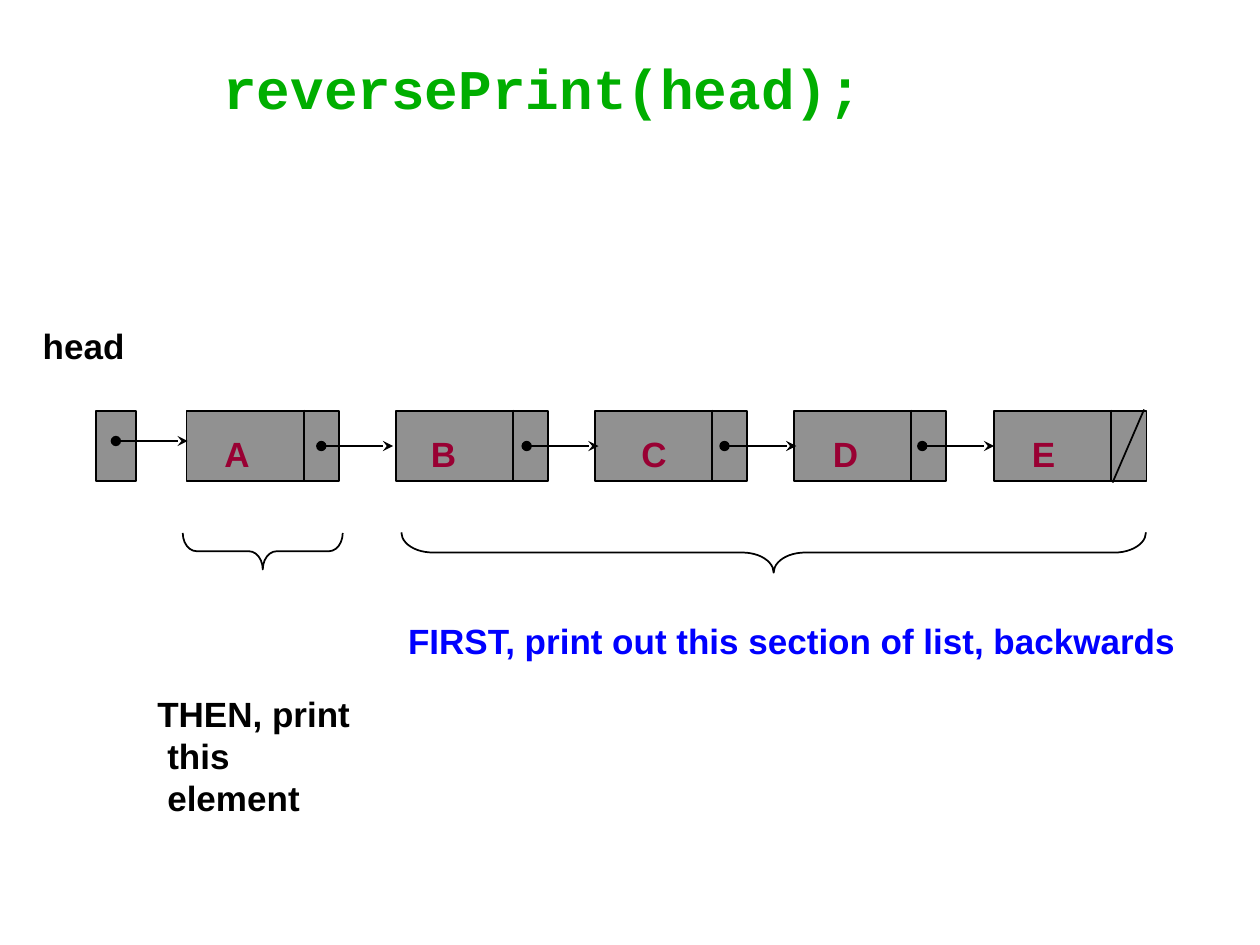
import pptx
import pptx.util
import pptx.dml.color
import pptx.enum.shapes
import pptx.enum.text
import pptx.oxml
import pptx.oxml.ns

Inches, Pt = pptx.util.Inches, pptx.util.Pt
Color = pptx.dml.color.RGBColor.from_string
Shape = pptx.enum.shapes.MSO_SHAPE
Anchor = pptx.enum.text.MSO_ANCHOR
Align = pptx.enum.text.PP_ALIGN

theme = {
    "line": Color("000000"),
    "node": Color("919191"),
    "width": Pt(1),
    "title": {"name": "Courier New", "size": Pt(32), "bold": True, "color": Color("00AE00")},
    "letter": {"name": "Arial", "size": Pt(20), "bold": True, "color": Color("990033")},
    "first": {"name": "Arial", "size": Pt(20), "bold": True, "color": Color("0000FF")},
    "plain": {"name": "Arial", "size": Pt(20), "bold": True, "color": Color("000000")},
}


def write(frame, text, style, form):
    for key, value in form.items():
        setattr(frame, key, value)
    frame.text = text
    for para in frame.paragraphs:
        for key, value in theme[style].items():
            if key == "color":
                para.font.color.rgb = value
            else:
                setattr(para.font, key, value)


def draw(x1, y1, x2, y2, arrow=False):
    line = slide.shapes.add_connector(
        pptx.enum.shapes.MSO_CONNECTOR.STRAIGHT,
        Inches(x1), Inches(y1), Inches(x2), Inches(y2))
    line.line.color.rgb = theme["line"]
    line.line.width = theme["width"]
    ends = {"a:headEnd": "oval", "a:tailEnd": "stealth"} if arrow else {}
    for tag, kind in ends.items():
        end = pptx.oxml.parse_xml(f'<{tag} {pptx.oxml.ns.nsdecls("a")} type="{kind}"/>')
        line.line._get_or_add_ln().append(end)
    none = pptx.oxml.parse_xml(f'<a:effectLst {pptx.oxml.ns.nsdecls("a")}/>')
    line._element.spPr.append(none)


deck = pptx.Presentation()
deck.slide_width, deck.slide_height = Inches(10), Inches(7.5)
slide = deck.slides.add_slide(deck.slide_layouts[5])

title = slide.shapes.title
spot = {"left": 0.75, "top": 0.33, "width": 8.02, "height": 0.68}
for key, value in spot.items():
    setattr(title, key, Inches(value))
write(title.text_frame, "reversePrint(head);", "title",
      {"vertical_anchor": Anchor.BOTTOM, "margin_right": Inches(1), "word_wrap": True})
title.text_frame.paragraphs[0].alignment = Align.CENTER

boxes = [("", 0.76, 0.32, 0)]
nodes = [("A", 1.48, 0.3), ("B", 3.14, 0.28), ("C", 4.72, 0.37),
         ("D", 6.3, 0.31), ("E", 7.89, 0.3)]
boxes += [(name, x, 1.21, pad) for name, x, pad in nodes]
for name, x, wide, pad in boxes:
    box = slide.shapes.add_shape(Shape.RECTANGLE, Inches(x), Inches(3.26),
                                 Inches(wide), Inches(0.56))
    box.shadow.inherit = False
    box.fill.solid()
    box.fill.fore_color.rgb = theme["node"]
    box.line.color.rgb = theme["line"]
    box.line.width = theme["width"]
    if name:
        write(box.text_frame, name, "letter",
              {"margin_left": Inches(pad), "margin_top": Inches(0.12),
               "margin_bottom": 0, "vertical_anchor": Anchor.MIDDLE})
        box.text_frame.paragraphs[0].alignment = Align.LEFT
        draw(x + 0.93, 3.25, x + 0.93, 3.82)

for x, y in [(0.92, 3.5), (2.55, 3.54), (4.18, 3.54), (5.75, 3.54), (7.32, 3.54)]:
    draw(x, y, x + 0.57, y, True)
draw(9.08, 3.25, 8.83, 3.83)

for x, y, wide, high, bend in [(1.94, 3.74, 0.29, 1.27, 0.38), (5.98, 1.43, 0.32, 5.91, 0.78)]:
    brace = slide.shapes.add_shape(Shape.RIGHT_BRACE, Inches(x), Inches(y),
                                   Inches(wide), Inches(high))
    brace.rotation = 90
    brace.adjustments[0] = bend
    brace.shadow.inherit = False
    brace.fill.background()
    brace.line.color.rgb = theme["line"]
    brace.line.width = theme["width"]

labels = [
    ("head", 0.24, 2.53, 0.85, 0.43, "plain"),
    ("FIRST, print out this section of list, backwards", 3.14, 4.87, 6.33, 0.43, "first"),
    ("THEN, print\nthis element", 1.15, 5.45, 1.9, 0.77, "plain"),
]
for text, x, y, wide, high, style in labels:
    label = slide.shapes.add_textbox(Inches(x), Inches(y), Inches(wide), Inches(high))
    write(label.text_frame, text, style, {"word_wrap": False})
    for para in label.text_frame.paragraphs[1:]:
        para._p.get_or_add_pPr().set("marL", str(Inches(0.08)))

deck.save("out.pptx")
